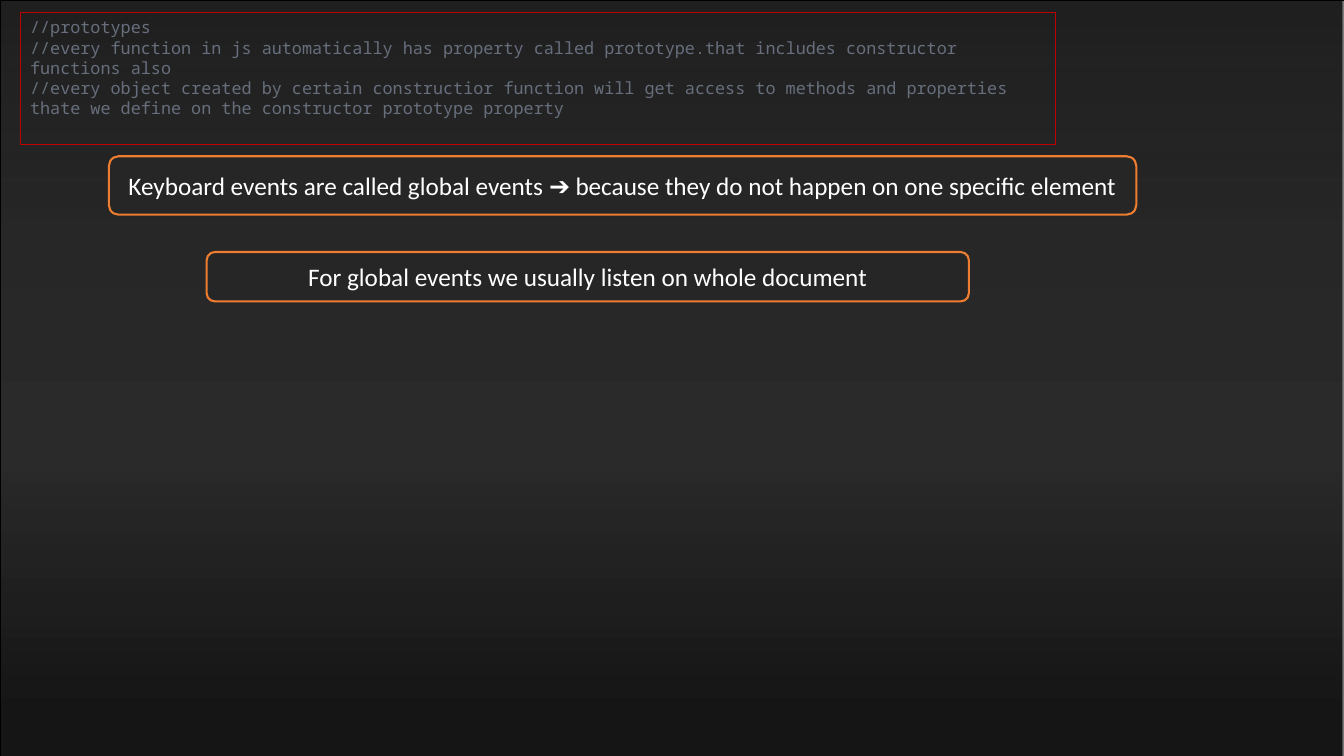
import pptx
import pptx.util
import pptx.dml.color
import pptx.enum.shapes
import pptx.enum.text
from lxml import etree
from pptx.oxml.ns import qn

Inches, Pt = pptx.util.Inches, pptx.util.Pt
KIND = pptx.enum.shapes.MSO_SHAPE
ALIGN = pptx.enum.text.PP_ALIGN
ANCHOR = pptx.enum.text.MSO_ANCHOR

SIZE = (13.33, 7.5)
# position %, colour, opacity %
STOPS = [(0, "080808", 90), (30, "000000", 84), (61, "000000", 83), (93, "000000", 91)]
CODE = [
    "//prototypes",
    "//every function in js automatically has property called prototype.that includes constructor functions also",
    "//every object created by certain constructior function will get access to methods and properties "
    "thate we define on the constructor prototype property",
]
CODE_BOX = (0.2, 0.12, 10.27, 1.31)
NOTES = [
    ((1.08, 1.55, 10.19, 0.58),
     "Keyboard events are called global events ➔ because they do not happen on one specific element"),
    ((2.05, 2.5, 7.56, 0.49), "For global events we usually listen on whole document"),
]


def color(code):
    return pptx.dml.color.RGBColor.from_string(code)


def add_box(slide, kind, box, line, width, fill=None):
    shape = slide.shapes.add_shape(kind, *map(Inches, box))
    shape.shadow.inherit = False
    shape.line.color.rgb = color(line)
    shape.line.width = Pt(width)
    if fill:
        shape.fill.solid()
        shape.fill.fore_color.rgb = color(fill)
    else:
        shape.fill.background()
    return shape


def shade(shape, stops):
    """Fill from top to bottom with part-transparent stops."""
    shape.fill.gradient()
    shape.fill.gradient_angle = 270
    group = shape.element.spPr.find(qn("a:gradFill")).find(qn("a:gsLst"))
    for old in list(group):
        group.remove(old)
    for place, code, alpha in stops:
        stop = etree.SubElement(group, qn("a:gs"), pos=str(place * 1000))
        tint = etree.SubElement(stop, qn("a:srgbClr"), val=code)
        etree.SubElement(tint, qn("a:alpha"), val=str(alpha * 1000))


def write(shape, lines, font, size, code, align, anchor):
    frame = shape.text_frame
    frame.word_wrap = True
    frame.vertical_anchor = anchor
    frame.text = "\n".join(lines)
    for para in frame.paragraphs:
        para.alignment = align
        para.font.name = font
        para.font.size = Pt(size)
        para.font.color.rgb = color(code)


def main():
    deck = pptx.Presentation()
    deck.slide_width, deck.slide_height = map(Inches, SIZE)
    slide = deck.slides.add_slide(deck.slide_layouts[6])

    shade(add_box(slide, KIND.RECTANGLE, (0, 0, *SIZE), "000000", 0.5), STOPS)

    code = add_box(slide, KIND.RECTANGLE, CODE_BOX, "C00000", 0.75)
    write(code, CODE, "Noto Sans Mono", 12, "676F7D", ALIGN.LEFT, ANCHOR.TOP)

    for box, text in NOTES:
        note = add_box(slide, KIND.ROUNDED_RECTANGLE, box, "ED7D31", 1.5, "262626")
        write(note, [text], "Calibri", 18, "FFFFFF", ALIGN.CENTER, ANCHOR.MIDDLE)

    deck.save("out.pptx")


if __name__ == "__main__":
    main()
